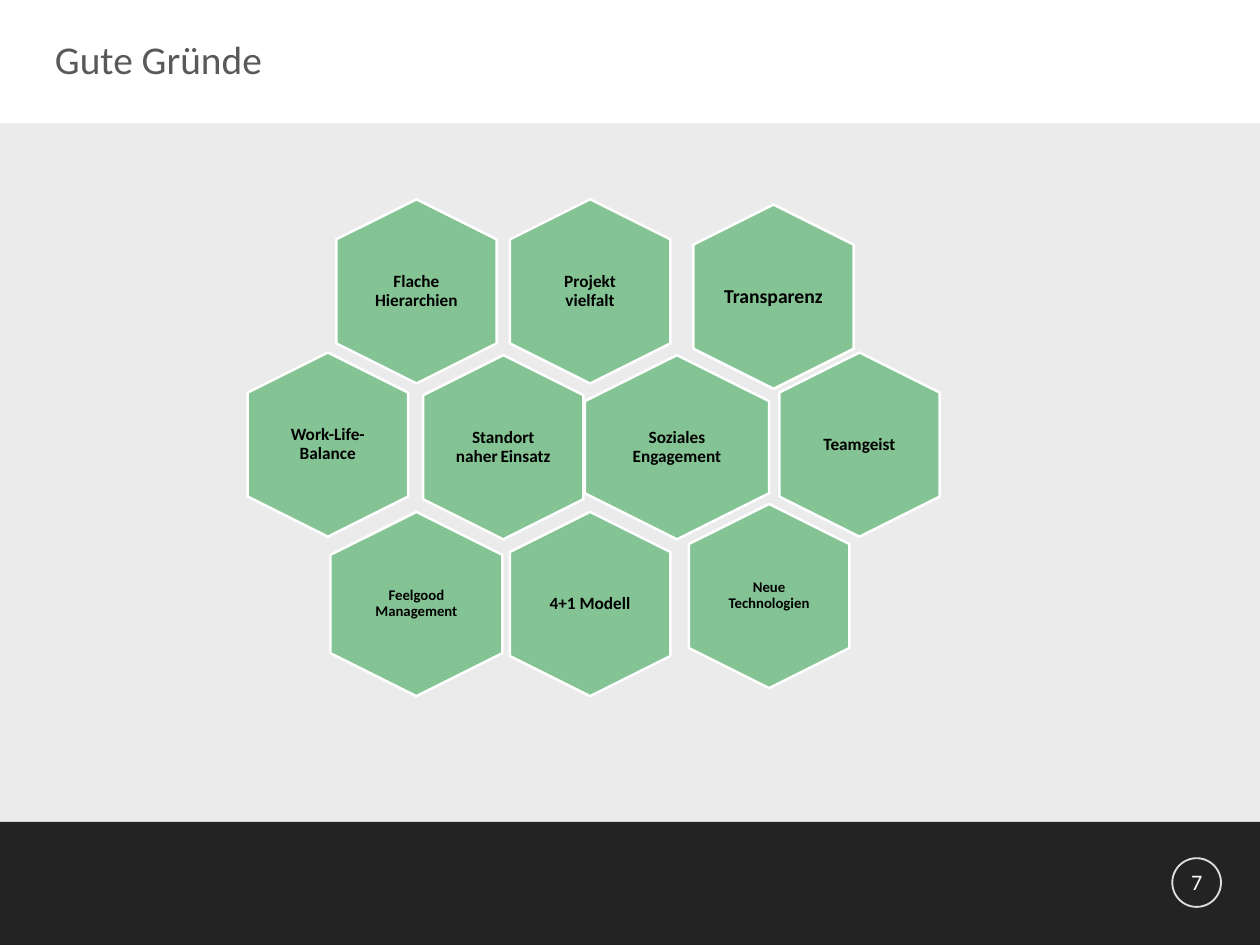
from pptx import Presentation
from pptx.dml.color import RGBColor
from pptx.enum.shapes import MSO_SHAPE as SHAPE
from pptx.enum.text import MSO_ANCHOR as ANCHOR, MSO_AUTO_SIZE as AUTO, PP_ALIGN as ALIGN
from pptx.util import Inches, Pt

# Content
TITLE = "Gute Gründe"
PAGE = "7"
HEX_H, HEX_W = 2.08, 1.81
PAD = 0.06
# Center x, center y, hexagon width, text inset, runs (text, size); back to front
REASONS = [
    (9.70, 5.02, HEX_W, PAD, [("Teamgeist", 14)]),
    (8.68, 6.73, HEX_W, 0, [("Neue Technologien", 12)]),
    (3.70, 5.02, HEX_W, PAD, [("Work-Life-Balance", 14)]),
    (8.73, 3.35, HEX_W, 0, [("Transparenz", 16)]),
    (6.66, 3.29, HEX_W, PAD, [("Projekt vielfalt", 14)]),
    (4.70, 3.29, HEX_W, 0, [("Flache Hierarchien", 14)]),
    (5.68, 5.05, HEX_W, PAD, [("Standort naher", 14), (" ", 10), ("Einsatz", 14)]),
    (7.64, 5.05, 2.08, 0, [("Soziales Engagement", 14)]),
    (6.66, 6.82, HEX_W, PAD, [("4+1 Modell", 14)]),
    (4.70, 6.82, 1.94, 0, [("Feelgood Management", 12)]),
]

# Style
FONT = "Calibri"
WHITE = RGBColor(0xFF, 0xFF, 0xFF)
BLACK = RGBColor(0, 0, 0)
GREY_BG = RGBColor(0xEB, 0xEB, 0xEB)
DARK = RGBColor(0x23, 0x23, 0x23)
RING = RGBColor(0xDC, 0xDE, 0xE0)
TITLE_GREY = RGBColor(0x59, 0x59, 0x59)
GREEN = RGBColor(0x84, 0xC3, 0x94)
SLIDE_W, SLIDE_H, BAND_H = 14.22, 10.67, 1.39


def add_shape(kind, x, y, w, h, fill=None, line=None, line_w=1):
    sp = slide.shapes.add_shape(kind, Inches(x), Inches(y), Inches(w), Inches(h))
    sp.shadow.inherit = False
    if fill is None:
        sp.fill.background()
    else:
        sp.fill.solid()
        sp.fill.fore_color.rgb = fill
    if line is None:
        sp.line.fill.background()
    else:
        sp.line.color.rgb = line
        sp.line.width = Pt(line_w)
    return sp


def write(sp, runs, color, align, anchor=ANCHOR.TOP, inset=0, bold=False, wrap=False):
    tf = sp.text_frame
    tf.auto_size = AUTO.NONE
    tf.word_wrap = wrap
    tf.vertical_anchor = anchor
    tf.margin_left = tf.margin_right = tf.margin_top = tf.margin_bottom = Inches(inset)
    p = tf.paragraphs[0]
    p.alignment = align
    for text, size in runs:
        r = p.add_run()
        r.text = text
        r.font.name = FONT
        r.font.size = Pt(size)
        r.font.bold = bold
        r.font.color.rgb = color
    return p


def add_box(x, y, w, h):
    return slide.shapes.add_textbox(Inches(x), Inches(y), Inches(w), Inches(h))


def add_reason(cx, cy, hex_w, inset, runs):
    # The preset lies on its side, so its frame is set before the quarter turn
    sp = add_shape(SHAPE.HEXAGON, cx - HEX_H / 2, cy - hex_w / 2, HEX_H, hex_w,
                   GREEN, WHITE, 2)
    sp.adjustments[0] = 0.25
    sp.adjustments[1] = 1.155
    sp.rotation = 90
    text_w, text_h = 0.69 * hex_w, 1.43
    box = add_box(cx - text_w / 2, cy - text_h / 2, text_w, text_h)
    p = write(box, runs, BLACK, ALIGN.CENTER, ANCHOR.MIDDLE, inset, bold=True, wrap=True)
    p.line_spacing = 0.9
    p.space_after = Pt(5)


prs = Presentation()
prs.slide_width, prs.slide_height = Inches(SLIDE_W), Inches(SLIDE_H)
slide = prs.slides.add_slide(prs.slide_layouts[5])
slide.background.fill.solid()
slide.background.fill.fore_color.rgb = GREY_BG

# Header and footer bands, page ring
add_shape(SHAPE.RECTANGLE, 0, 0, SLIDE_W, BAND_H, WHITE)
add_shape(SHAPE.RECTANGLE, 0, SLIDE_H - BAND_H, SLIDE_W, BAND_H, DARK)
add_shape(SHAPE.OVAL, 13.23, 9.69, 0.55, 0.55, line=RING, line_w=1.5)

# Title, brought in front of the header band
title = slide.shapes.title
title.left, title.top = Inches(0.62), Inches(0.4)
title.width, title.height = Inches(2.47), Inches(0.54)
write(title, [(TITLE, 32)], TITLE_GREY, ALIGN.LEFT)
slide.shapes._spTree.append(title._element)

# Page number
write(add_box(13.4, 9.8, 0.21, 0.41), [(PAGE, 18)], WHITE, ALIGN.CENTER)

# Honeycomb of reasons
for reason in REASONS:
    add_reason(*reason)

prs.save("out.pptx")
